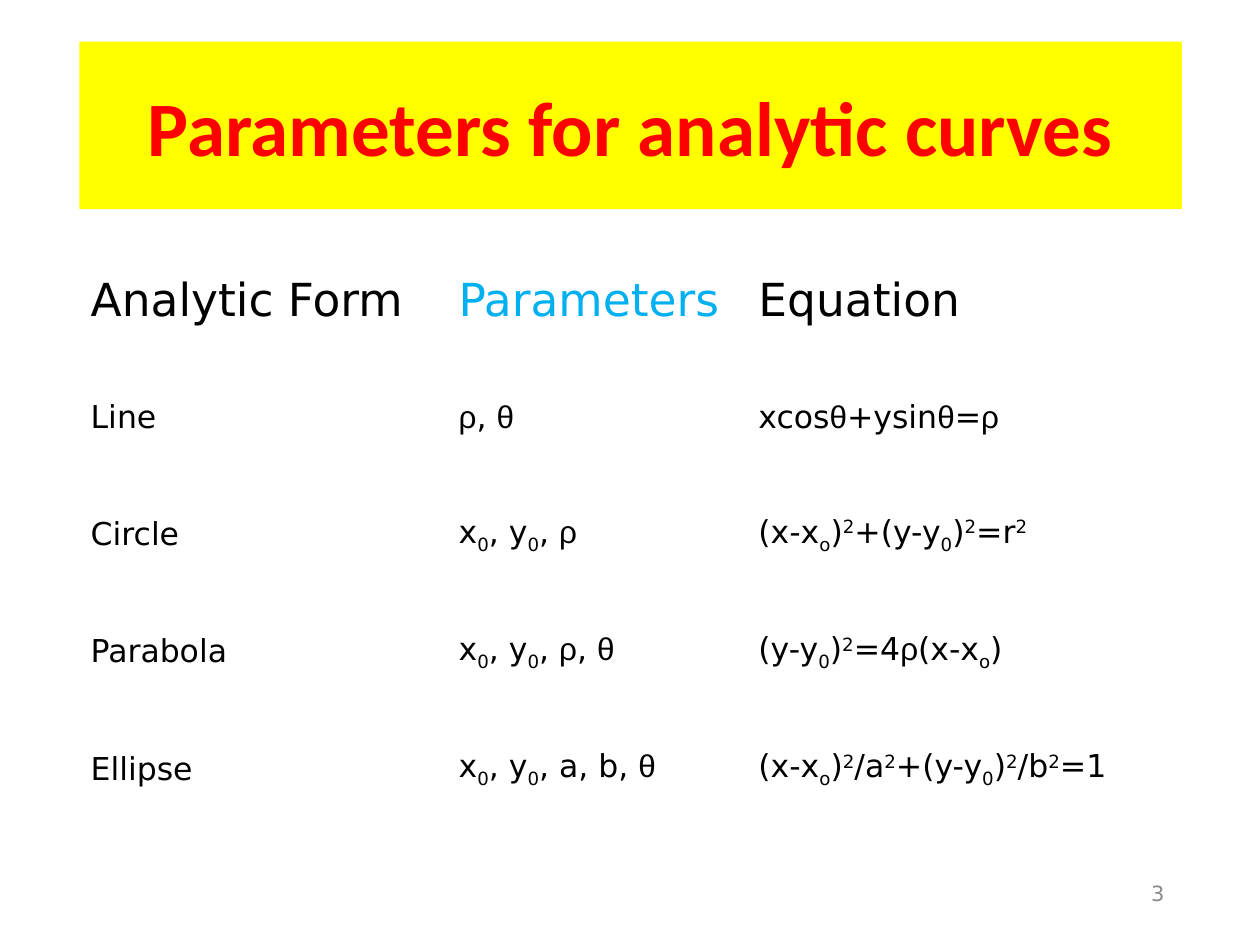
from itertools import groupby

from pptx import Presentation
from pptx.dml.color import RGBColor
from pptx.enum.text import MSO_ANCHOR, PP_ALIGN
from pptx.util import Inches, Pt

MID = MSO_ANCHOR.MIDDLE
CENTER, RIGHT, LEFT = PP_ALIGN.CENTER, PP_ALIGN.RIGHT, PP_ALIGN.LEFT
SANS, GREEK = "DejaVu Sans", "Arial"
SHIFT = {"_": "-25000", "^": "30000"}

TITLE = "Parameters for analytic curves"
PAGE = "3"
ROWS = [
    ("Analytic Form", "Parameters", "Equation"),
    ("Line", "ρ, θ", "xcosθ+ysinθ=ρ"),
    ("Circle", "x_0, y_0, ρ", "(x-x_o)^2+(y-y_0)^2=r^2"),
    ("Parabola", "x_0, y_0, ρ, θ", "(y-y_0)^2=4ρ(x-x_o)"),
    ("Ellipse", "x_0, y_0, a, b, θ", "(x-x_o)^2/a^2+(y-y_0)^2/b^2=1"),
]
COLS = (2.92, 2.38, 3.33)
ROW = 0.93
HEAD = {"size": Pt(26), "name": SANS, "bold": False}
BODY = {"size": Pt(18), "name": SANS, "bold": False}


def color(code):
    return RGBColor.from_string(code)


def split(text):
    """Yield (mark, is Greek, text) runs; _ lowers and ^ raises the next character."""
    pairs = [(a, b) for a, b in zip(" " + text, text) if b not in SHIFT]
    for (mark, greek), group in groupby(
        pairs, lambda p: (p[0] if p[0] in SHIFT else "", p[1] in "ρθ")
    ):
        yield mark, greek, "".join(b for a, b in group)


def write(frame, text, look, ink, align=LEFT, before=0):
    para = frame.paragraphs[0]
    para.alignment, para.space_before = align, Pt(before)
    for mark, greek, part in split(text):
        run = para.add_run()
        run.text = part
        for key, value in look.items():
            setattr(run.font, key, value)
        run.font.color.rgb = color(ink)
        if greek:
            run.font.name = GREEK
        if mark:
            run.font._element.set("baseline", SHIFT[mark])


def label(slide, spot, text, look, ink, align):
    box = slide.shapes.add_textbox(*map(Inches, spot))
    frame = box.text_frame
    frame.word_wrap, frame.vertical_anchor = True, MID
    write(frame, text, look, ink, align)
    return box


def grid(slide):
    spot = (0.62, 1.92, sum(COLS), ROW * len(ROWS))
    table = slide.shapes.add_table(
        len(ROWS), len(COLS), *map(Inches, spot)
    ).table
    table.first_row = table.horz_banding = False
    for col, width in zip(table.columns, COLS):
        col.width = Inches(width)
    for r, row in enumerate(ROWS):
        table.rows[r].height = Inches(ROW)
        look, before = (BODY, 4.5) if r else (HEAD, 6.5)
        for c, text in enumerate(row):
            cell = table.cell(r, c)
            cell.fill.background()
            cell.vertical_anchor = MID
            ink = "00B0F0" if (r, c) == (0, 1) else "000000"
            write(cell.text_frame, text, look, ink, before=before)


def main():
    deck = Presentation()
    deck.slide_width, deck.slide_height = Inches(10), Inches(7.5)
    slide = deck.slides.add_slide(deck.slide_layouts[6])
    look = {"size": Pt(44), "name": "Calibri", "bold": True}
    title = label(slide, (0.63, 0.33, 8.75, 1.33), TITLE, look, "FF0000", CENTER)
    title.fill.solid()
    title.fill.fore_color.rgb = color("FFFF00")
    grid(slide)
    look = {"size": Pt(12), "name": SANS}
    label(slide, (7.17, 6.83, 2.17, 0.52), PAGE, look, "898989", RIGHT)
    deck.save("out.pptx")


if __name__ == "__main__":
    main()
